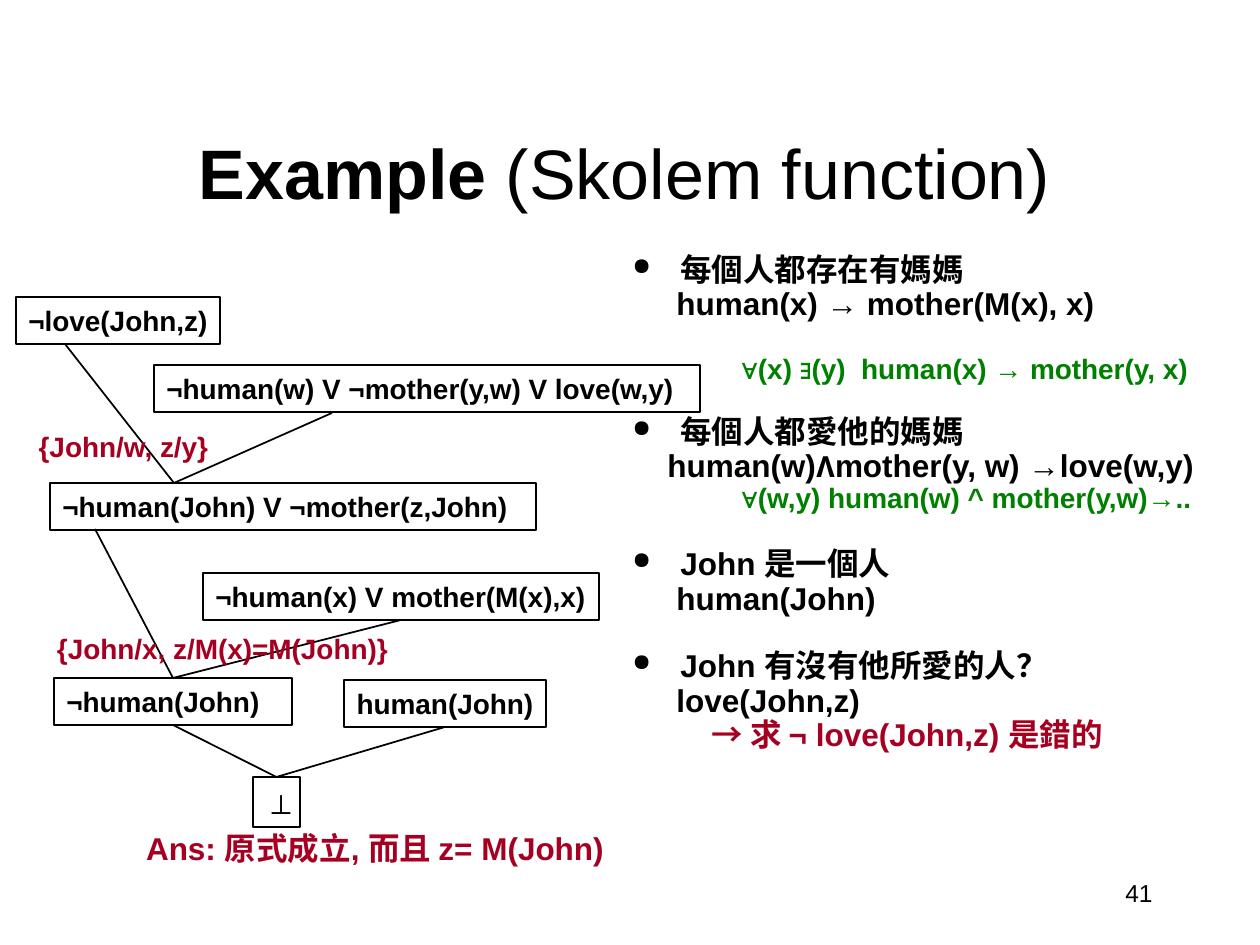
from lxml.etree import SubElement
from pptx import Presentation
from pptx.dml.color import RGBColor
from pptx.enum.shapes import MSO_CONNECTOR, MSO_SHAPE
from pptx.enum.text import MSO_ANCHOR, PP_ALIGN
from pptx.oxml.ns import qn
from pptx.util import Emu, Pt

PX = 914400 / 126
BLACK, RED, GREEN = "000000", "A50021", "008000"
LEFT, CENTER, RIGHT = PP_ALIGN.LEFT, PP_ALIGN.CENTER, PP_ALIGN.RIGHT
TOP, BOTTOM = 0, 2

# name: (text, left, top, width, height, size, align, wrap)
CLAUSES = {
    "goal": ("¬love(John,z)", 16, 297, 204, 47, 16, LEFT, False),
    "love rule": ("¬human(w) V ¬mother(y,w) V love(w,y)", 154, 365, 546, 47, 16, LEFT, True),
    "first resolvent": ("¬human(John) V ¬mother(z,John)", 50, 483, 486, 47, 16, LEFT, True),
    "mother rule": ("¬human(x) V mother(M(x),x)", 203, 573, 396, 47, 16, LEFT, False),
    "second resolvent": ("¬human(John)", 54, 678, 238, 47, 16, LEFT, True),
    "fact": ("human(John)", 344, 680, 202, 47, 16, CENTER, False),
    "contradiction": ("⊥", 253, 777, 47, 50, 18, LEFT, False),
}

# Each end is a point, or a clause and the side it joins
LINES = [
    ((65, 344), (174, 483)),
    ((174, 483), (332, 413)),
    ((95, 529), ("second resolvent", TOP)),
    (("mother rule", BOTTOM), ("second resolvent", TOP)),
    (("second resolvent", BOTTOM), ("contradiction", TOP)),
    (("fact", BOTTOM), ("contradiction", TOP)),
]

SUBSTITUTIONS = [
    ("{John/w, z/y}", 26, 423, 195, 47),
    ("{John/x, z/M(x)=M(John)}", 44, 625, 357, 47),
]

# (runs, left indent in px, size, colour, space before in points, bullet)
STATEMENTS = [
    (["每個人都存在有媽媽"], 48, 18, BLACK, 0, True),
    (["human(x) → mother(M(x), x)"], 44, 18, BLACK, 4.5, False),
    (["∀(x) ∃(y)  human(x) → mother(y, x)"], 109, 16, GREEN, 23, False),
    (["每個人都愛他的媽媽"], 48, 18, BLACK, 21.5, True),
    (["human(w)", ("Λ", {"font": "Courier New"}), "mother(y, w) →love(w,y)"],
     35, 18, BLACK, 4.5, False),
    (["∀(w,y) human(w) ^ mother(y,w)→.."], 109, 16, GREEN, 4, False),
    (["John 是一個人"], 48, 18, BLACK, 23.5, True),
    (["human(John)"], 44, 18, BLACK, 4.5, False),
    (["John 有沒有他所愛的人？"], 48, 18, BLACK, 23.5, True),
    (["love(John,z)"], 44, 18, BLACK, 4.5, False),
    (["→ 求 ¬ love(John,z) 是錯的"], 79, 18, RED, 4.5, False),
]


def px(value):
    return Emu(round(value * PX))


def color(value):
    return RGBColor.from_string(value)


def set_indent(paragraph, indent, bullet):
    """Indent a paragraph, hanging a small round bullet if asked."""
    properties = paragraph._p.get_or_add_pPr()
    properties.set("marL", str(px(indent)))
    properties.set("indent", str(-px(indent) if bullet else 0))
    if bullet:
        bullet_color = SubElement(properties, qn("a:buClr"))
        SubElement(bullet_color, qn("a:srgbClr"), val=BLACK)
        SubElement(properties, qn("a:buSzPct"), val="75000")
        SubElement(properties, qn("a:buChar"), char="●")


def write(paragraph, runs, size=16, hue=BLACK, bold=True, align=LEFT, font="Arial"):
    """Add runs, each a string or a pair of a string and its own format."""
    paragraph.alignment = align
    for item in runs:
        text, own = (item, {}) if isinstance(item, str) else item
        run = paragraph.add_run()
        run.text = text
        run.font.name = own.get("font", font)
        run.font.size = Pt(size)
        run.font.bold = own.get("bold", bold)
        run.font.color.rgb = color(hue)


def add_text(slide, runs, place, wrap=True, anchor=MSO_ANCHOR.TOP, **text_format):
    frame = slide.shapes.add_textbox(*map(px, place)).text_frame
    frame.word_wrap = wrap
    frame.vertical_anchor = anchor
    write(frame.paragraphs[0], runs, **text_format)
    return frame


def add_clause(slide, text, left, top, width, height, size, align, wrap):
    shape = slide.shapes.add_shape(MSO_SHAPE.RECTANGLE, *map(px, (left, top, width, height)))
    shape.shadow.inherit = False
    shape.fill.background()
    shape.line.color.rgb = color(BLACK)
    shape.line.width = Pt(1)
    frame = shape.text_frame
    frame.word_wrap = wrap
    frame.vertical_anchor = MSO_ANCHOR.TOP
    write(frame.paragraphs[0], [text], size=size, align=align)
    return shape


def add_line(slide, start, end, clauses):
    points = [(0, 0) if isinstance(stop[0], str) else stop for stop in (start, end)]
    line = slide.shapes.add_connector(
        MSO_CONNECTOR.STRAIGHT, *(px(value) for point in points for value in point))
    for stop, connect in ((start, line.begin_connect), (end, line.end_connect)):
        if isinstance(stop[0], str):
            connect(clauses[stop[0]], stop[1])
    line.line.color.rgb = color(BLACK)
    line.line.width = Pt(1)
    SubElement(line._element.spPr, qn("a:effectLst"))


def add_statements(slide):
    frame = slide.shapes.add_textbox(*map(px, (620, 254, 596, 567))).text_frame
    frame.word_wrap = True
    for index, (runs, indent, size, hue, before, bullet) in enumerate(STATEMENTS):
        paragraph = frame.add_paragraph() if index else frame.paragraphs[0]
        set_indent(paragraph, indent, bullet)
        paragraph.line_spacing = 0.7
        if before:
            paragraph.space_before = Pt(before)
        write(paragraph, runs, size=size, hue=hue)


def main():
    presentation = Presentation()
    presentation.slide_width, presentation.slide_height = px(1260), px(945)
    slide = presentation.slides.add_slide(presentation.slide_layouts[6])

    add_text(slide, ["Example ", ("(Skolem function)", {"bold": False})],
             (84, 126, 1081, 94), anchor=MSO_ANCHOR.BOTTOM, size=40, align=CENTER)
    add_statements(slide)
    clauses = {name: add_clause(slide, *clause) for name, clause in CLAUSES.items()}
    for start, end in LINES:
        add_line(slide, start, end, clauses)
    for text, *place in SUBSTITUTIONS:
        add_text(slide, [text], place, wrap=False, hue=RED, align=CENTER)
    answer = add_text(slide, ["Ans: 原式成立, 而且 z= M(John)"], (110, 830, 530, 43),
                      wrap=False, size=18, hue=RED, align=CENTER)
    answer.paragraphs[0].line_spacing = 0.8
    add_text(slide, ["41"], (1081, 861, 84, 63), anchor=MSO_ANCHOR.MIDDLE,
             size=14, bold=False, align=RIGHT)
    presentation.save("out.pptx")


if __name__ == "__main__":
    main()
